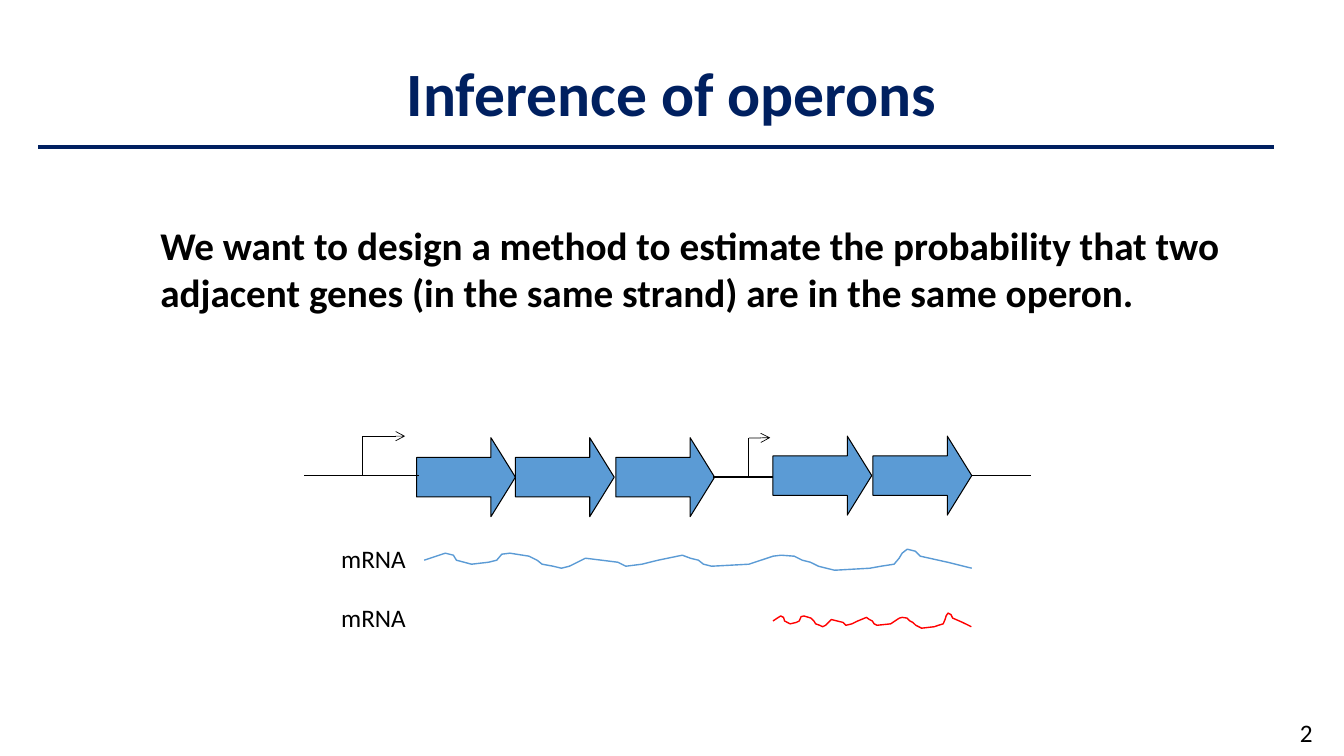
import pptx
import pptx.util
import pptx.dml.color
import pptx.enum.shapes
import pptx.enum.text
import pptx.oxml
import pptx.oxml.ns
from dataclasses import dataclass

Cm, Pt = pptx.util.Cm, pptx.util.Pt
ALIGN = pptx.enum.text.PP_ALIGN
ANCHOR = pptx.enum.text.MSO_ANCHOR


@dataclass(frozen=True)
class Theme:
    font: str = "Calibri"
    navy: str = "002060"
    black: str = "000000"
    blue: str = "5B9BD5"
    red: str = "FF0000"
    title: float = 44
    body: float = 28
    label: float = 18
    rule: float = 3
    wave: float = 1
    outline: float = 0.75
    thin: float = 0.5


# Transcript outline on a 543 x 21 grid
WAVE_SIZE = (543, 21)
WAVE = [
    (0, 11), (21, 4), (29, 6), (32, 11), (47, 15), (64, 13), (72, 11), (77, 5),
    (85, 4), (104, 7), (112, 11), (117, 15), (128, 17), (136, 19), (144, 17),
    (160, 9), (192, 13), (200, 17), (216, 15), (232, 11), (256, 6), (264, 9),
    (272, 11), (277, 15), (285, 17), (322, 15), (346, 7), (354, 6), (367, 7),
    (375, 11), (383, 13), (391, 17), (407, 21), (442, 19), (453, 17), (466, 15),
    (471, 9), (474, 4), (479, 0), (487, 2), (492, 7), (519, 13), (535, 17),
    (543, 19),
]


class SlideBuilder:
    def __init__(self, slide, theme):
        self.s = slide
        self.theme = theme

    def color(self, value):
        return pptx.dml.color.RGBColor.from_string(value)

    def stroke(self, sp, color, width):
        sp.line.color.rgb = self.color(color)
        sp.line.width = Pt(width)

    def text(self, text, x, y, w, h, size, color=None, bold=False, wrap=True,
             align=ALIGN.LEFT, anchor=ANCHOR.TOP, spacing=1.0):
        sp = self.s.shapes.add_textbox(Cm(x), Cm(y), Cm(w), Cm(h))
        tf = sp.text_frame
        tf.word_wrap = wrap
        tf.vertical_anchor = anchor
        p = tf.paragraphs[0]
        p.text = text
        p.alignment = align
        p.line_spacing = spacing
        p.font.name = self.theme.font
        p.font.size = Pt(size)
        p.font.bold = bold
        p.font.color.rgb = self.color(color or self.theme.black)

    def line(self, x1, y1, x2, y2, width, color=None, arrow=False):
        sp = self.s.shapes.add_connector(
            pptx.enum.shapes.MSO_CONNECTOR.STRAIGHT,
            Cm(x1), Cm(y1), Cm(x2), Cm(y2))
        self.stroke(sp, color or self.theme.black, width)
        ns = pptx.oxml.ns.nsdecls("a")
        if arrow:
            sp.line._get_or_add_ln().append(
                pptx.oxml.parse_xml(f'<a:tailEnd {ns} type="arrow"/>'))
        sp._element.spPr.append(pptx.oxml.parse_xml(f"<a:effectLst {ns}/>"))

    def gene(self, x, y, w=2.49, h=1.99):
        sp = self.s.shapes.add_shape(
            pptx.enum.shapes.MSO_SHAPE.RIGHT_ARROW, Cm(x), Cm(y), Cm(w), Cm(h))
        sp.adjustments[0] = 0.5
        sp.adjustments[1] = 0.31
        sp.shadow.inherit = False
        sp.fill.solid()
        sp.fill.fore_color.rgb = self.color(self.theme.blue)
        self.stroke(sp, self.theme.black, self.theme.outline)

    def promoter(self, x, base, top, tip_x, tip_y):
        """Draw a bent arrow marking a transcription start."""
        self.line(x, base, x, top, self.theme.thin)
        self.line(x, top, tip_x, tip_y, self.theme.thin, arrow=True)

    def transcript(self, x, y, w, h, color):
        points = [(Cm(x + w * px / WAVE_SIZE[0]), Cm(y + h * py / WAVE_SIZE[1]))
                  for px, py in WAVE]
        builder = self.s.shapes.build_freeform(*points[0])
        builder.add_line_segments(points[1:], close=False)
        sp = builder.convert_to_shape()
        sp.shadow.inherit = False
        sp.fill.background()
        self.stroke(sp, color, self.theme.wave)

    def mrna_label(self, y):
        self.text("mRNA", 8.35, y, 2.16, 1.02, self.theme.label, wrap=False)


def main():
    prs = pptx.Presentation()
    prs.slide_width, prs.slide_height = Cm(33.87), Cm(19.05)
    theme = Theme()
    s = SlideBuilder(prs.slides.add_slide(prs.slide_layouts[6]), theme)

    s.text("Inference of operons", 2.33, 0.6, 29.21, 3.68, theme.title,
           theme.navy, bold=True, align=ALIGN.CENTER, anchor=ANCHOR.MIDDLE,
           spacing=0.9)
    s.line(0.97, 3.71, 32.11, 3.71, theme.rule, theme.navy)
    s.text("2", 32.51, 17.94, 0.84, 1.02, theme.label, wrap=False)
    s.text("We want to design a method to estimate the probability that two "
           "adjacent genes (in the same strand) are in the same operon.",
           3.79, 5.46, 27.74, 2.64, theme.body, bold=True)

    s.transcript(10.69, 13.84, 13.8, 0.53, theme.blue)
    s.mrna_label(13.56)

    for x, y in [(10.5, 11.03), (12.99, 11.03), (15.52, 11.03),
                 (19.48, 10.99), (22, 10.99)]:
        s.gene(x, y)
    for x1, x2, y in [(17.98, 19.48, 12.02), (7.67, 10.57, 11.99),
                      (24.49, 25.98, 11.98)]:
        s.line(x1, y, x2, y, theme.outline)
    s.promoter(9.13, 11.99, 10.99, 10.21, 10.99)

    s.transcript(19.48, 15.45, 5, 0.38, theme.red)
    s.mrna_label(15.05)
    s.promoter(18.87, 12.03, 11.04, 19.41, 11.03)

    prs.save("out.pptx")


if __name__ == "__main__":
    main()
